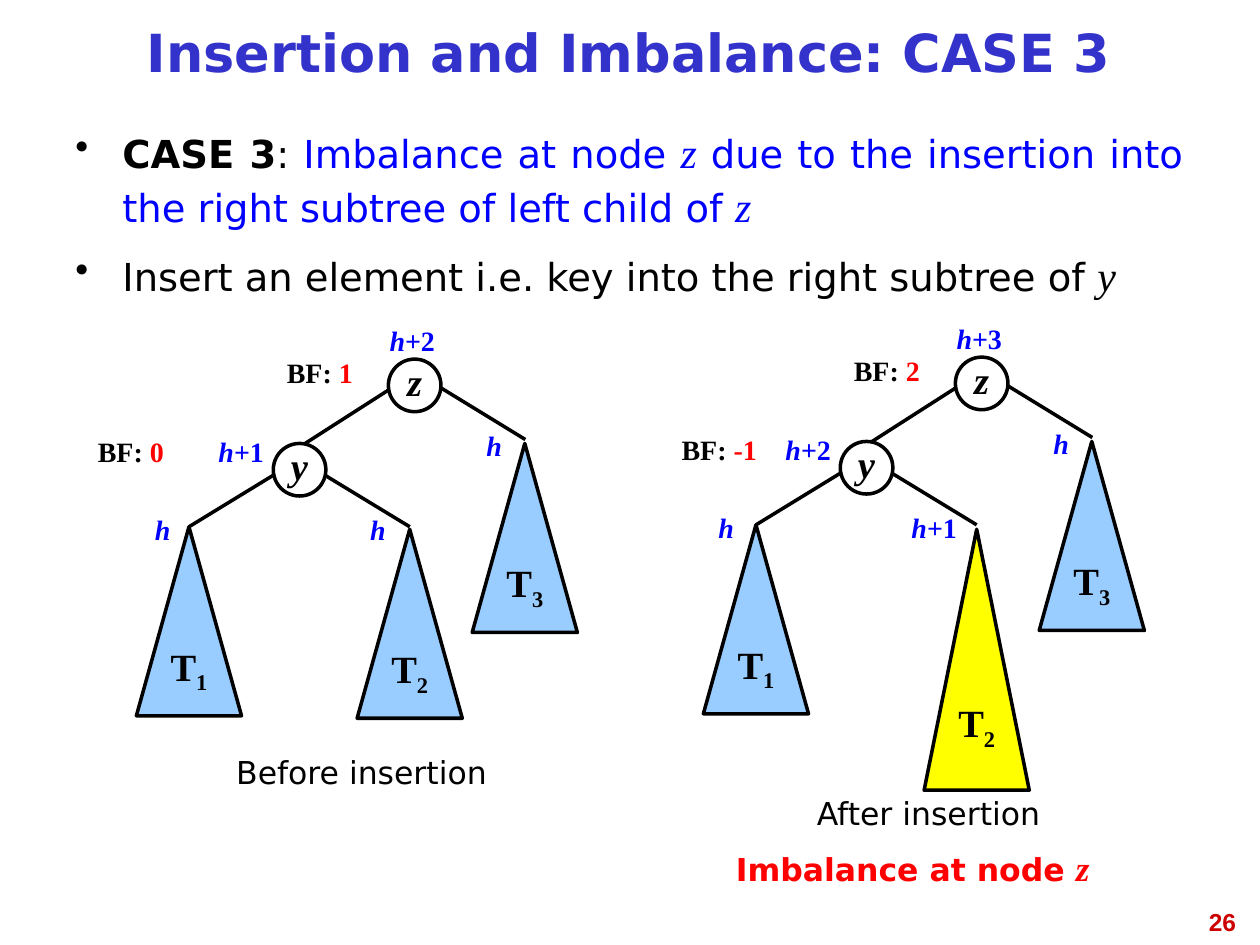
import dataclasses

import pptx
import pptx.dml.color
import pptx.enum.shapes
import pptx.enum.text
import pptx.oxml.xmlchemy
import pptx.util

Cm = pptx.util.Cm
Pt = pptx.util.Pt
Align = pptx.enum.text.PP_ALIGN
Anchor = pptx.enum.text.MSO_ANCHOR
Shape = pptx.enum.shapes.MSO_SHAPE
Element = pptx.oxml.xmlchemy.OxmlElement


@dataclasses.dataclass(frozen=True)
class Theme:
    sans: str = "DejaVu Sans"
    serif: str = "Times New Roman"
    plain: str = "Arial"
    black: str = "000000"
    blue: str = "0000FF"
    red: str = "FF0000"
    navy: str = "3333CC"
    crimson: str = "CC0000"
    sky: str = "99CCFF"
    yellow: str = "FFFF00"
    title: int = 30
    math: int = 24
    body: int = 22
    strong: int = 20
    note: int = 18
    label: int = 16
    page: int = 14
    stroke: int = 2


T = Theme()
VAR = dict(font=T.serif, size=T.math, italic=True)


def tint(name):
    return pptx.dml.color.RGBColor.from_string(name)


def write(para, runs, align=Align.CENTER, lead=None, **base):
    """Fill a paragraph; each run is a text or a (text, changes) pair."""
    para.alignment = align
    if lead:
        para.line_spacing = lead
    for item in runs:
        text, extra = (item, {}) if isinstance(item, str) else item
        look = {"font": T.serif, "size": T.label, "color": T.black,
                "bold": False, "italic": False, **base, **extra}
        run = para.add_run()
        run.text = text
        run.font.name = look["font"]
        run.font.size = Pt(look["size"])
        run.font.bold = look["bold"]
        run.font.italic = look["italic"]
        run.font.color.rgb = tint(look["color"])
        if "base" in look:
            run.font._element.set("baseline", str(look["base"] * 1000))


def add_box(slide, left, top, width, height, anchor=Anchor.TOP):
    box = slide.shapes.add_textbox(Cm(left), Cm(top), Cm(width), Cm(height))
    box.text_frame.word_wrap = True
    box.text_frame.vertical_anchor = anchor
    return box.text_frame


def add_text(slide, mid, top, width, *runs, **look):
    """Put one centred line of text around the column mid."""
    frame = add_box(slide, mid - width / 2, top, width, 0.94)
    write(frame.paragraphs[0], runs, **look)


def add_mark(slide, mid, top, *runs):
    add_text(slide, mid, top, 2.12, *runs, color=T.blue, bold=True, italic=True)


def add_factor(slide, mid, top, value):
    """Show a balance factor."""
    add_text(slide, mid, top, 2.74, "BF: ", (value, dict(color=T.red)), bold=True)


def add_form(slide, kind, mid, top, width, height, fill, *runs, **look):
    form = slide.shapes.add_shape(kind, Cm(mid - width / 2), Cm(top), Cm(width), Cm(height))
    form.shadow.inherit = False
    if fill:
        form.fill.solid()
        form.fill.fore_color.rgb = tint(fill)
    else:
        form.fill.background()
    form.line.color.rgb = tint(T.black)
    form.line.width = Pt(T.stroke)
    frame = form.text_frame
    frame.word_wrap = False
    frame.vertical_anchor = Anchor.MIDDLE
    write(frame.paragraphs[0], runs, lead=0.81, size=T.body, bold=True, **look)


def add_node(slide, mid, top, name):
    add_form(slide, Shape.OVAL, mid, top, 1.06, 1.06, None, name, italic=True)


def add_subtree(slide, mid, top, index, height=3.81, fill=T.sky):
    add_form(slide, Shape.ISOSCELES_TRIANGLE, mid, top, 2.12, height, fill,
             "T", (index, dict(base=-25)))


def add_edge(slide, *ends):
    kind = pptx.enum.shapes.MSO_CONNECTOR.STRAIGHT
    edge = slide.shapes.add_connector(kind, *map(Cm, ends))
    edge.line.color.rgb = tint(T.black)
    edge.line.width = Pt(T.stroke)
    edge._element.spPr.append(Element("a:effectLst"))


def add_tree(slide, x, y, high, mid, right, factors, grown=False):
    """Draw the tree at x, y; high, mid and right are the height labels of z, y and T2."""
    for x1, y1, x2, y2 in [(8.89, 7.82, 10.59, 8.86), (6.15, 8.94, 7.82, 7.87),
                           (6.55, 9.58, 8.26, 10.62), (3.81, 10.62, 5.51, 9.58)]:
        add_edge(slide, x + x1, y + y1, x + x2, y + y2)
    add_node(slide, x + 8.36, y + 7.24, "z")
    add_node(slide, x + 6.04, y + 8.94, "y")

    add_subtree(slide, x + 3.81, y + 10.62, "1")
    if grown:
        add_subtree(slide, x + 8.26, y + 10.71, "2", 5.26, T.yellow)
    else:
        add_subtree(slide, x + 8.26, y + 10.67, "2")
    add_subtree(slide, x + 10.58, y + 8.94, "3")

    upright = dict(italic=False)
    add_mark(slide, x + (3.21 if grown else 3.28), y + 10.21, "h")
    add_mark(slide, x + (7.4 if grown else 7.62), y + 10.21, *right)
    add_mark(slide, x + 4.86, y + 8.64, "h+", (mid, upright))
    add_mark(slide, x + 9.96, y + 8.51, "h")
    add_mark(slide, x + 8.31, y + 6.4, "h", (high, upright))
    add_factor(slide, x + 6.45, y + 7.04, factors[0])
    add_factor(slide, x + (3.07 if grown else 2.64), y + 8.64, factors[1])


def add_points(slide, points):
    frame = add_box(slide, 1.27, 2.34, 22.83, 4.24)
    for i, runs in enumerate(points):
        para = frame.add_paragraph() if i else frame.paragraphs[0]
        props = para._p.get_or_add_pPr()
        props.set("marL", str(Cm(0.95)))
        props.set("indent", str(Cm(-0.95)))
        color = Element("a:buClr")
        value = Element("a:srgbClr")
        value.set("val", T.black)
        color.append(value)
        bullet = Element("a:buChar")
        bullet.set("char", "•")
        props.extend([color, bullet])
        if i:
            para.space_before = Pt(8)
        write(para, runs, align=Align.JUSTIFY, lead=1.08, font=T.sans, size=T.body)


def main():
    deck = pptx.Presentation()
    deck.slide_width, deck.slide_height = Cm(25.4), Cm(19.05)
    slide = deck.slides.add_slide(deck.slide_layouts[6])

    page = add_box(slide, 19.25, 18.16, 5.92, 0.85)
    write(page.paragraphs[0], ["26"], align=Align.RIGHT, font=T.plain,
          size=T.page, color=T.crimson, bold=True)
    title = add_box(slide, 1.27, 0.2, 22.83, 1.9, Anchor.MIDDLE)
    write(title.paragraphs[0], ["Insertion and Imbalance: CASE 3"], lead=0.81,
          font=T.sans, size=T.title, color=T.navy, bold=True)

    blue = dict(color=T.blue)
    add_points(slide, [
        [("CASE 3", dict(bold=True)), ": ",
         ("Imbalance at node ", blue), ("z", {**VAR, **blue}),
         (" due to the insertion into the right subtree of left child of ", blue),
         ("z", {**VAR, **blue})],
        ["Insert an element i.e. key into the right subtree of ", ("y", VAR)],
    ])

    add_tree(slide, 0, 0, "+2", "1", ["h"], ("1", "0"))
    add_tree(slide, 11.43, -0.04, "+3", "2", ["h+", ("1", dict(italic=False))],
             ("2", "-1"), grown=True)

    note = dict(font=T.sans, size=T.note)
    add_text(slide, 7.29, 15.06, 7.47, "Before insertion", **note)
    add_text(slide, 18.72, 15.88, 7.47, "After insertion", **note)
    add_text(slide, 18.4, 16.94, 10.64, "Imbalance at node ",
             ("z", {**VAR, "size": T.strong}), color=T.red, bold=True, **note)

    deck.save("out.pptx")


if __name__ == "__main__":
    main()
